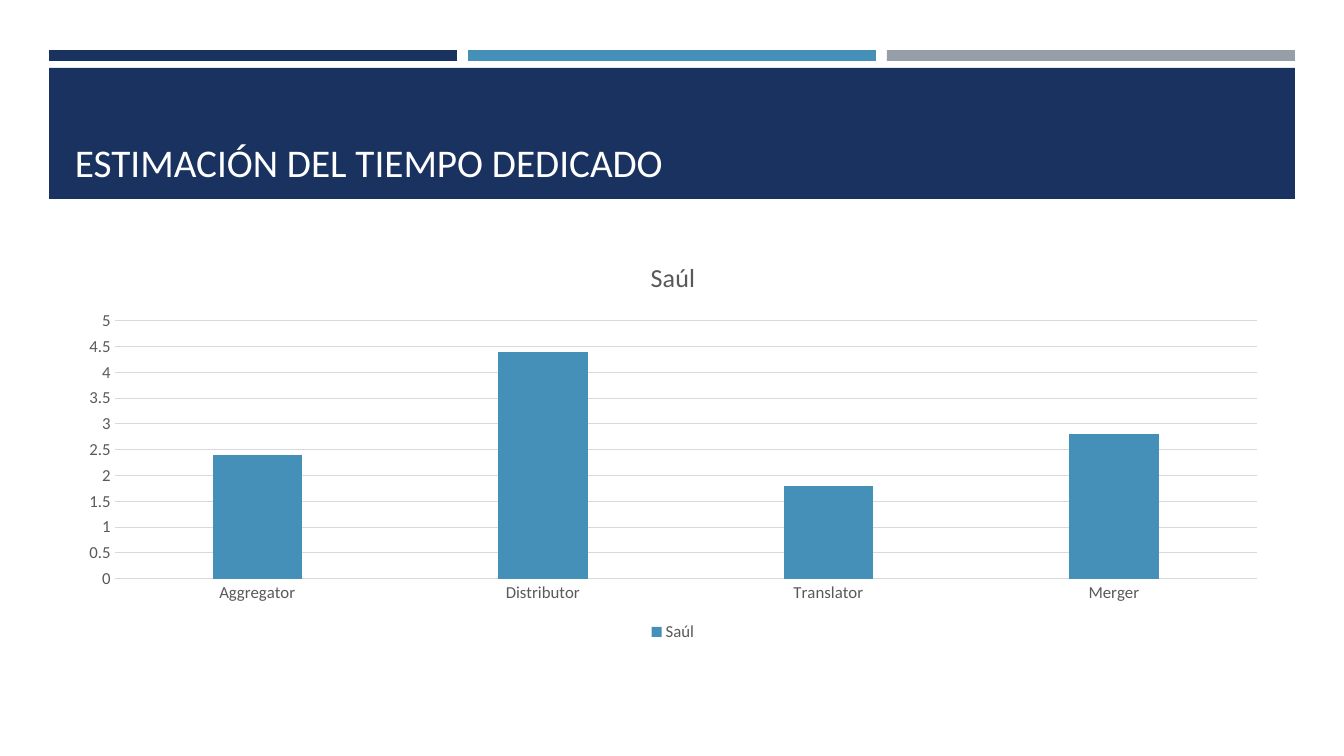
from pptx import Presentation
from pptx.chart.data import CategoryChartData
from pptx.dml.color import RGBColor
from pptx.enum.chart import XL_CHART_TYPE as ChartType
from pptx.enum.chart import XL_LEGEND_POSITION as LegendPosition
from pptx.enum.chart import XL_TICK_MARK as TickMark
from pptx.enum.shapes import MSO_SHAPE as Shape
from pptx.enum.text import MSO_ANCHOR as Anchor
from pptx.util import Emu, Pt

EMU_PER_PX = 914400 / 100.8
FONT = "Calibri"

NAVY = RGBColor(0x1A, 0x32, 0x60)
BLUE = RGBColor(0x45, 0x90, 0xB8)
GRAY = RGBColor(0x96, 0x9F, 0xA7)
WHITE = RGBColor(0xFF, 0xFF, 0xFF)
LABEL = RGBColor(0x59, 0x59, 0x59)
GRID = RGBColor(0xD9, 0xD9, 0xD9)

HOURS = {"Aggregator": 2.4, "Distributor": 4.4, "Translator": 1.8, "Merger": 2.8}
PERSON = "Saúl"


def px(length):
    return Emu(round(length * EMU_PER_PX))


def box(*lengths):
    return [px(length) for length in lengths]


def style_font(font, size, color):
    font.name = FONT
    font.size = Pt(size)
    font.bold = False
    font.color.rgb = color


def style_line(line, color):
    line.color.rgb = color
    line.width = Pt(0.75)


def write(frame, text, *, size, color, anchor=None):
    paragraph = frame.paragraphs[0]
    run = paragraph.add_run()
    run.text = text
    style_font(run.font, size, color)
    if anchor is not None:
        frame.word_wrap = True
        frame.vertical_anchor = anchor


def add_block(slide, left, top, width, height, color):
    block = slide.shapes.add_shape(Shape.RECTANGLE, *box(left, top, width, height))
    block.shadow.inherit = False
    block.fill.solid()
    block.fill.fore_color.rgb = color
    block.line.fill.background()


def style_axis(axis):
    axis.major_tick_mark = TickMark.NONE
    axis.minor_tick_mark = TickMark.NONE
    style_font(axis.tick_labels.font, 12, LABEL)


def add_hours_chart(slide, left, top, width, height):
    data = CategoryChartData()
    data.categories = list(HOURS)
    data.add_series(PERSON, list(HOURS.values()))
    chart = slide.shapes.add_chart(
        ChartType.COLUMN_CLUSTERED, *box(left, top, width, height), data
    ).chart
    style_font(chart.font, 10, LABEL)

    # Title and legend
    chart.has_title = True
    write(chart.chart_title.text_frame, PERSON, size=18.6, color=LABEL)
    chart.chart_title.include_in_layout = False
    chart.has_legend = True
    chart.legend.position = LegendPosition.BOTTOM
    chart.legend.include_in_layout = False
    style_font(chart.legend.font, 12, LABEL)

    # Columns
    columns = chart.plots[0]
    columns.vary_by_categories = False
    columns.gap_width = 219
    columns.overlap = -27
    column_fill = columns.series[0].format.fill
    column_fill.solid()
    column_fill.fore_color.rgb = BLUE

    # Axes
    style_axis(chart.category_axis)
    style_line(chart.category_axis.format.line, GRID)
    hours_axis = chart.value_axis
    style_axis(hours_axis)
    hours_axis.minimum_scale = 0
    hours_axis.maximum_scale = 5
    hours_axis.major_unit = 0.5
    hours_axis.format.line.fill.background()
    hours_axis.has_major_gridlines = True
    style_line(hours_axis.major_gridlines.format.line, GRID)


def main():
    deck = Presentation()
    deck.slide_width, deck.slide_height = box(1344, 756)
    slide = deck.slides.add_slide(deck.slide_layouts[6])

    # Three stripes above the banner
    for index, color in enumerate((NAVY, BLUE, GRAY)):
        add_block(slide, 49 + index * 419, 50, 408, 11, color)

    # Banner with the title
    add_block(slide, 49, 68, 1246, 131, NAVY)
    title = slide.shapes.add_textbox(*box(65, 78, 1216, 112))
    write(title.text_frame, "ESTIMACIÓN DEL TIEMPO DEDICADO",
          size=28, color=WHITE, anchor=Anchor.BOTTOM)

    # Time per component
    add_hours_chart(slide, 65, 241, 1216, 405)

    deck.save("out.pptx")


if __name__ == "__main__":
    main()
